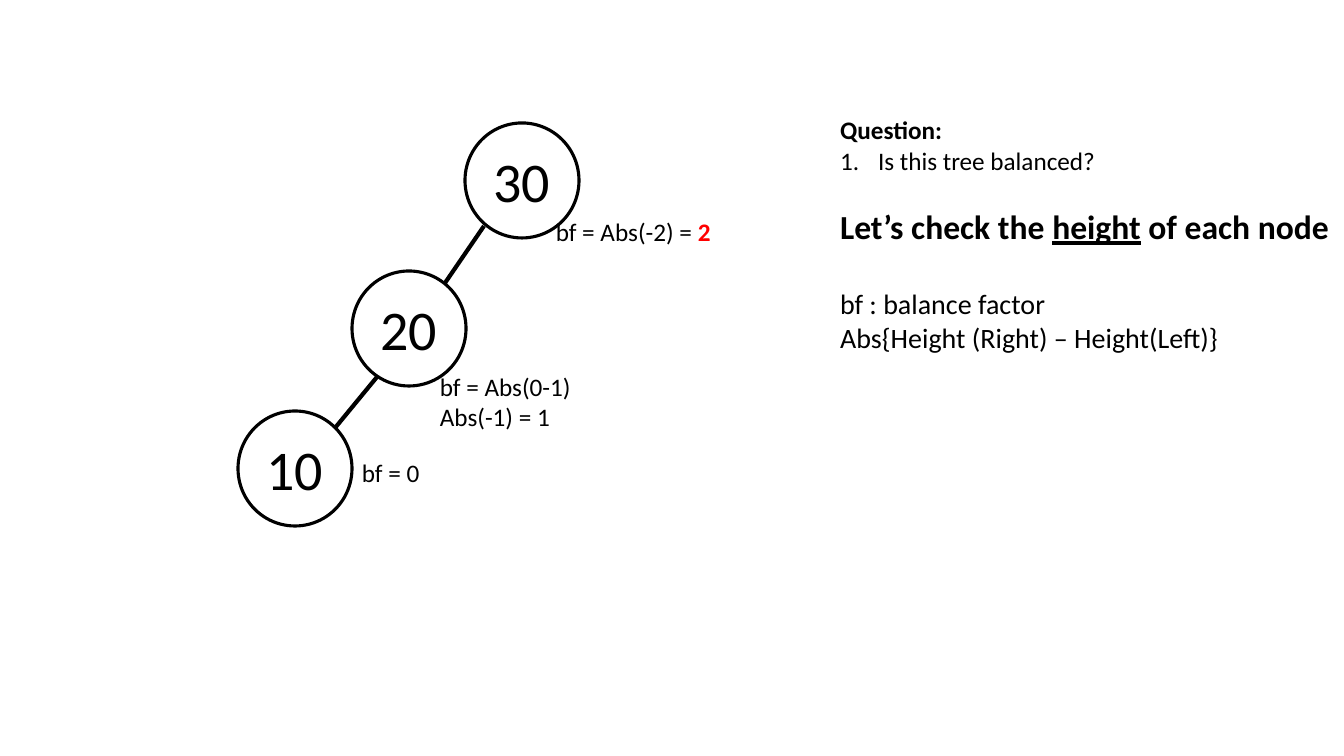
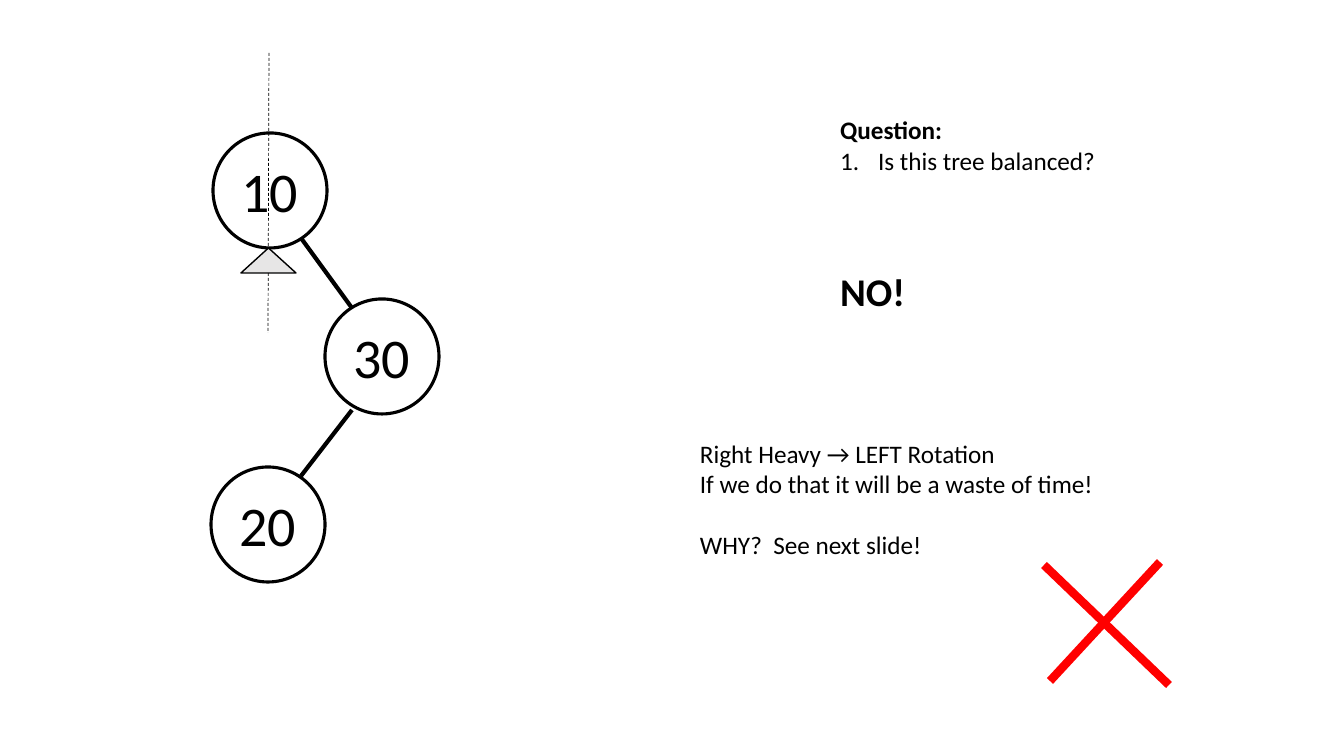
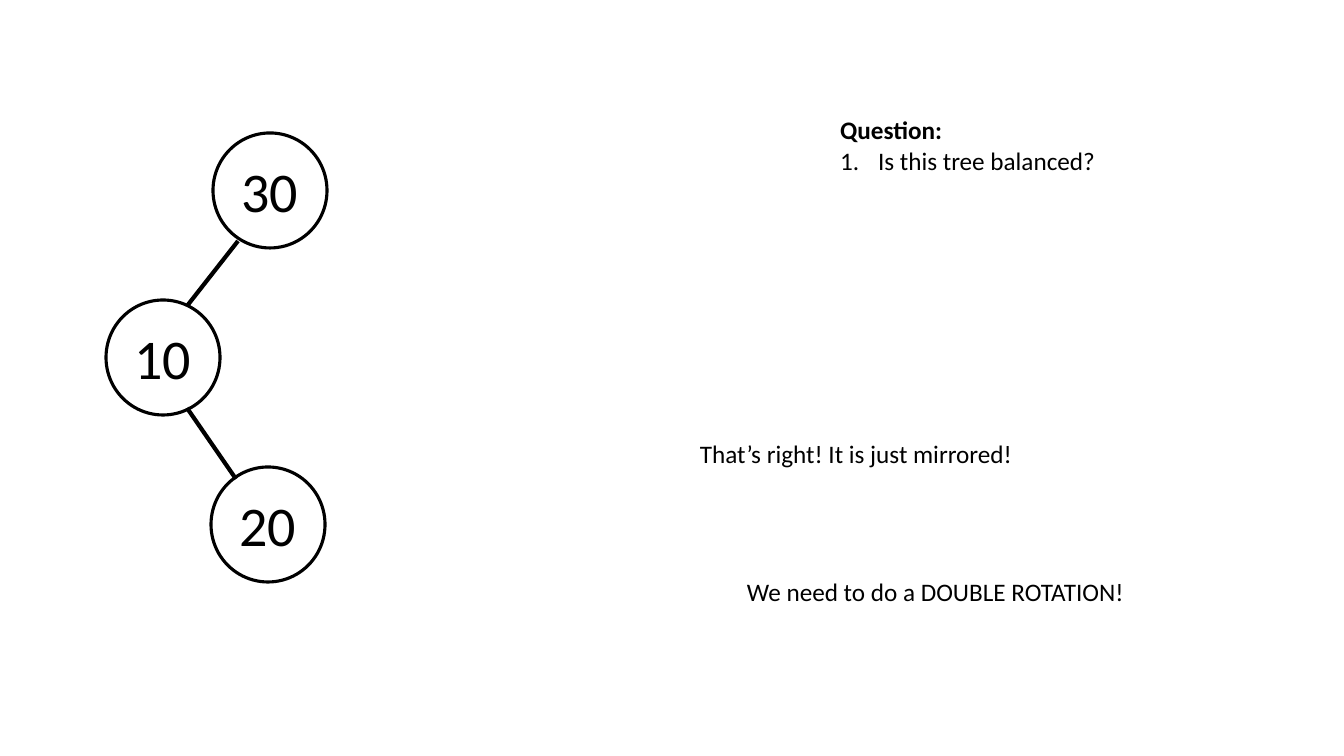
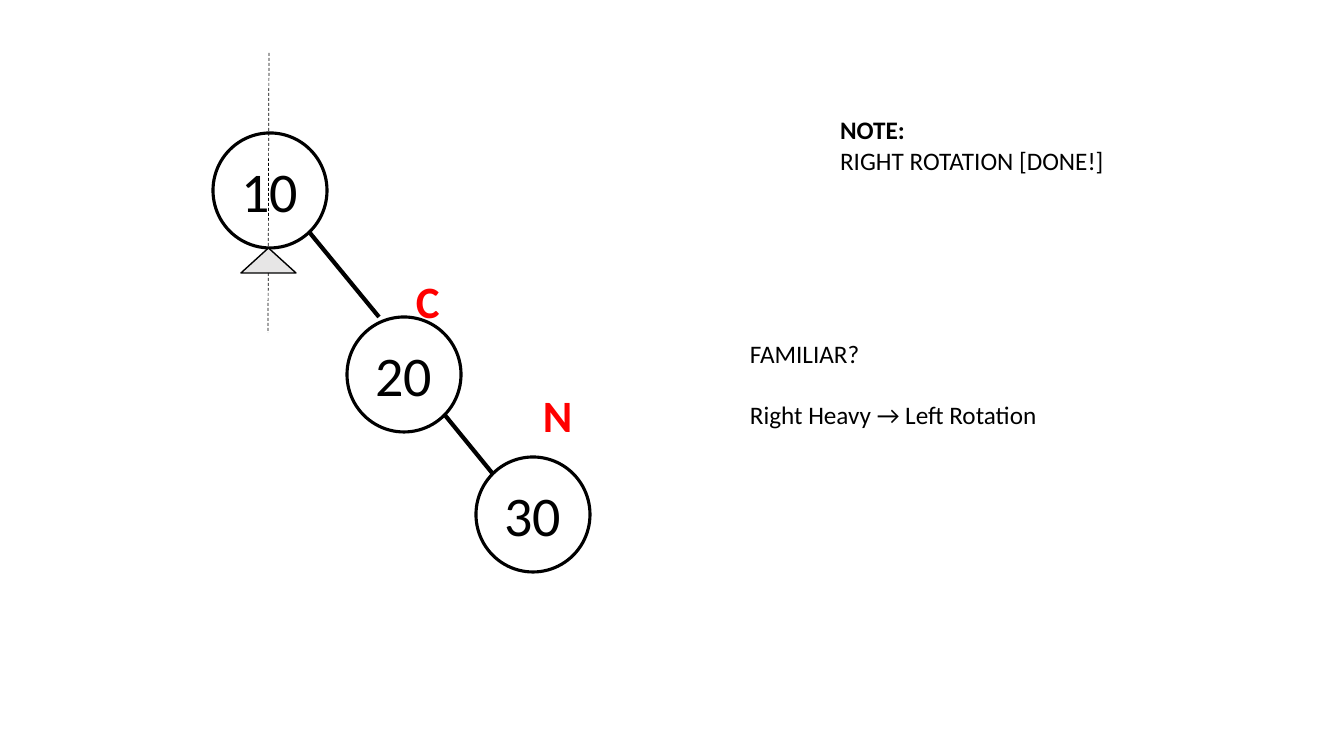
from dataclasses import dataclass, field

from lxml.etree import SubElement
from pptx import Presentation
from pptx.dml.color import RGBColor
from pptx.enum.dml import MSO_LINE
from pptx.enum.shapes import MSO_CONNECTOR, MSO_SHAPE
from pptx.enum.text import MSO_ANCHOR, MSO_AUTO_SIZE, PP_ALIGN
from pptx.oxml.ns import qn
from pptx.util import Emu, Pt


@dataclass(frozen=True)
class Theme:
    font: str = "Calibri"
    ink: RGBColor = RGBColor(0x00, 0x00, 0x00)
    paper: RGBColor = RGBColor(0xFF, 0xFF, 0xFF)
    alert: RGBColor = RGBColor(0xFF, 0x00, 0x00)
    pivot: RGBColor = RGBColor(0xE7, 0xE6, 0xE6)
    text: int = 18
    formula: int = 20
    lead: int = 24
    answer: int = 28
    marker: int = 32
    key: int = 40
    outline: float = 2.25
    edge: float = 3
    axis: float = 0.5
    thin: float = 1
    cross: float = 6


@dataclass(frozen=True)
class Para:
    runs: tuple
    size: int = 18
    before: int = 0
    numbered: bool = False
    look: dict = field(default_factory=dict)


THEME = Theme()
EMU_PER_PX = 914400 / 100.8
NODE_W, NODE_H = 114, 115
INDENT = 38
LINE_GAP = 22
BOLD = {"bold": True}
TITLE_BOX = (830, 109, 514, 36)
BODY_BOX = (830, 145, 514, 330)
QUESTION = Para(("Is this tree balanced?",), numbered=True)


def px(value):
    return Emu(round(value * EMU_PER_PX))


def box(*lengths):
    return [px(value) for value in lengths]


def apply(target, values):
    for name, value in values.items():
        setattr(target, name, value)


def add_run(p, text, size, look):
    r = p.add_run()
    r.text = text
    values = {"name": THEME.font, "size": Pt(size), **look}
    r.font.color.rgb = values.pop("color", THEME.ink)
    apply(r.font, values)


def set_bullet(p, numbered):
    pPr = p._p.get_or_add_pPr()
    pPr.set("marL", str(px(INDENT) if numbered else 0))
    pPr.set("indent", str(-px(INDENT) if numbered else 0))
    if numbered:
        SubElement(pPr, qn("a:buFont"), typeface="+mj-lt")
        SubElement(pPr, qn("a:buAutoNum"), type="arabicPeriod")
    else:
        SubElement(pPr, qn("a:buNone"))


def write(tf, paras, align=PP_ALIGN.LEFT):
    for i, para in enumerate(paras):
        p = tf.add_paragraph() if i else tf.paragraphs[0]
        apply(p, {"alignment": align, "space_before": Pt(para.before), "space_after": Pt(0)})
        set_bullet(p, para.numbered)
        for run in para.runs:
            text, look = (run, {}) if isinstance(run, str) else run
            add_run(p, text, para.size, {**para.look, **look})


def add_text(slide, bounds, *paras):
    tf = slide.shapes.add_textbox(*box(*bounds)).text_frame
    apply(tf, {"word_wrap": False, "auto_size": MSO_AUTO_SIZE.SHAPE_TO_FIT_TEXT})
    write(tf, paras)


def add_outlined(slide, kind, bounds, fill, width):
    sp = slide.shapes.add_shape(kind, *box(*bounds))
    sp.shadow.inherit = False
    sp.fill.solid()
    sp.fill.fore_color.rgb = fill
    sp.line.color.rgb = THEME.ink
    sp.line.width = Pt(width)
    return sp


def add_node(slide, key, left, top):
    sp = add_outlined(slide, MSO_SHAPE.OVAL, (left, top, NODE_W, NODE_H), THEME.paper, THEME.outline)
    sp.text_frame.vertical_anchor = MSO_ANCHOR.MIDDLE
    write(sp.text_frame, [Para((str(key),), THEME.key)], PP_ALIGN.CENTER)


def add_line(slide, ends, width=THEME.edge, color=THEME.ink, dash=None):
    line = slide.shapes.add_connector(MSO_CONNECTOR.STRAIGHT, *box(*ends))
    line.line.color.rgb = color
    apply(line.line, {"width": Pt(width), "dash_style": dash})
    SubElement(line._element.spPr, qn("a:effectLst"))


def add_tree(slide, nodes, edges):
    for node in nodes:
        add_node(slide, *node)
    for ends in edges:
        add_line(slide, ends)


def add_pivot(slide):
    add_line(slide, (269, 53, 268, 333), THEME.axis, dash=MSO_LINE.DASH)
    add_outlined(slide, MSO_SHAPE.ISOSCELES_TRIANGLE, (241, 248, 55, 25), THEME.pivot, THEME.thin)


def style_layout(layout):
    for holder, bounds in zip(layout.placeholders, (TITLE_BOX, BODY_BOX)):
        apply(holder, dict(zip(("left", "top", "width", "height"), box(*bounds))))


def add_slide(prs, heading, *paras):
    slide = prs.slides.add_slide(prs.slide_layouts[1])
    title, body = slide.placeholders
    frame = {"vertical_anchor": MSO_ANCHOR.TOP, "word_wrap": True,
             "auto_size": MSO_AUTO_SIZE.NONE, "margin_right": 0}
    apply(title.text_frame, {**frame, "margin_bottom": 0})
    apply(body.text_frame, {**frame, "margin_top": 0})
    write(title.text_frame, [Para((heading,), look=BOLD)])
    write(body.text_frame, paras)
    return slide


def balance_factor_slide(prs):
    slide = add_slide(
        prs, "Question:", QUESTION,
        Para(("Let’s check the ", ("height", {"underline": True}), " of each node"),
             THEME.lead, LINE_GAP, look=BOLD),
        Para(("bf : balance factor",), THEME.formula, 29),
        Para(("Abs{Height (Right) – Height(Left)}",), THEME.formula))
    add_tree(slide, [(10, 238, 411), (20, 352, 271), (30, 465, 123)],
             [(335, 428, 377, 377), (484, 226, 445, 283)])
    add_text(slide, (352, 452, 79, 40), Para(("bf = 0",)))
    add_text(slide, (430, 366, 153, 72), Para(("bf = Abs(0-1)",)), Para(("Abs(-1) = 1",)))
    add_text(slide, (546, 211, 177, 40),
             Para(("bf = Abs(-2) = ", ("2", {"color": THEME.alert, **BOLD}))))


def right_heavy_slide(prs):
    slide = add_slide(prs, "Question:", QUESTION,
                      Para(("NO!",), THEME.answer, 3 * LINE_GAP, look=BOLD))
    add_tree(slide, [(10, 213, 133), (30, 325, 299), (20, 211, 467)],
             [(301, 238, 352, 308), (352, 410, 301, 476)])
    add_text(slide, (690, 433, 418, 132),
             Para(("Right Heavy → LEFT Rotation",)),
             Para(("If we do that it will be a waste of time!",)),
             Para(("WHY?  See next slide!",), before=LINE_GAP))
    add_pivot(slide)
    for ends in ((1044, 565, 1169, 685), (1160, 562, 1050, 681)):
        add_line(slide, ends, THEME.cross, THEME.alert)


def mirrored_slide(prs):
    slide = add_slide(prs, "Question:", QUESTION)
    add_tree(slide, [(30, 213, 133), (10, 106, 300), (20, 211, 467)],
             [(187, 408, 236, 479), (238, 241, 187, 306)])
    add_text(slide, (690, 433, 336, 40), Para(("That’s right! It is just mirrored!",)))
    add_text(slide, (737, 571, 401, 40), Para(("We need to do a DOUBLE ROTATION!",)))


def rotated_slide(prs):
    slide = add_slide(prs, "NOTE:", Para(("RIGHT ROTATION [DONE!]",)))
    add_tree(slide, [(10, 213, 133), (20, 347, 317), (30, 476, 457)],
             [(310, 233, 379, 317), (444, 414, 493, 474)])
    add_pivot(slide)
    for letter, bounds in (("C", (406, 269, 44, 65)), ("N", (533, 383, 50, 65))):
        add_text(slide, bounds,
                 Para((letter,), THEME.marker, look={"color": THEME.alert, **BOLD}))
    add_text(slide, (740, 333, 312, 102), Para(("FAMILIAR?",)),
             Para(("Right Heavy → Left Rotation",), before=LINE_GAP))


def main():
    prs = Presentation()
    apply(prs, {"slide_width": px(1344), "slide_height": px(756)})
    style_layout(prs.slide_layouts[1])
    for build in (balance_factor_slide, right_heavy_slide, mirrored_slide, rotated_slide):
        build(prs)
    prs.save("out.pptx")


main()
